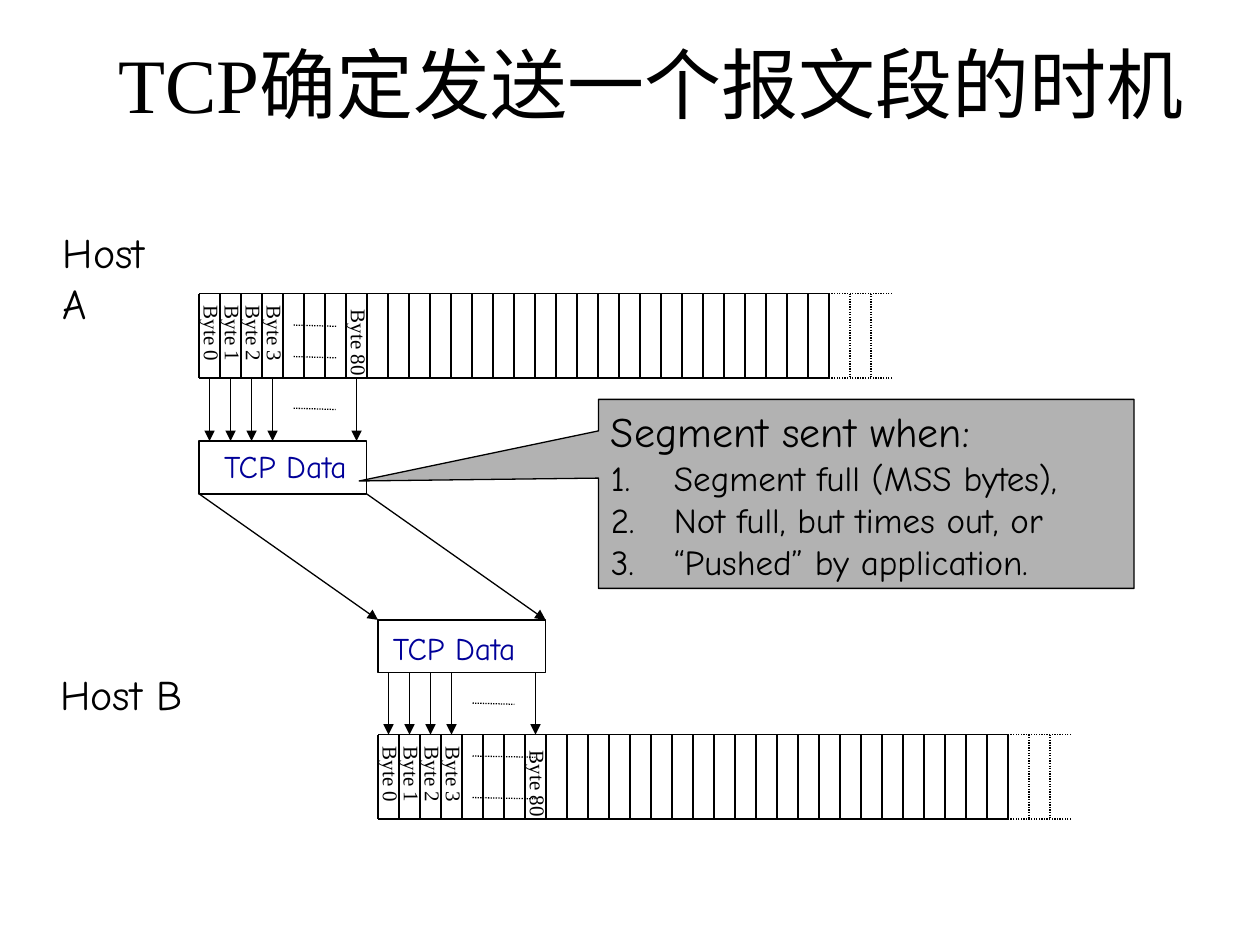
import pptx
import pptx.util
import pptx.dml.color
import pptx.enum.dml
import pptx.enum.shapes
import pptx.enum.text
from lxml import etree
from pptx.util import Inches

BLACK = pptx.dml.color.RGBColor(0, 0, 0)
WHITE = pptx.dml.color.RGBColor(255, 255, 255)
GREY = pptx.dml.color.RGBColor(0xB2, 0xB2, 0xB2)
NAVY = pptx.dml.color.RGBColor(0, 0, 0x99)
SERIF, HAND = "Times New Roman", "Comic Neue"
KIND = pptx.enum.shapes.MSO_SHAPE
FIT = pptx.enum.text.MSO_AUTO_SIZE
ANCHOR = pptx.enum.text.MSO_ANCHOR
ALIGN = pptx.enum.text.PP_ALIGN
DOTS = pptx.enum.dml.MSO_LINE.ROUND_DOT
qn = pptx.oxml.ns.qn

deck = pptx.Presentation()
deck.slide_width, deck.slide_height = Inches(10), Inches(7.5)
slide = deck.slides.add_slide(deck.slide_layouts[5])
shapes = slide.shapes


def line(x1, y1, x2, y2, dash=None, arrow=False):
    rule = shapes.add_connector(
        pptx.enum.shapes.MSO_CONNECTOR.STRAIGHT,
        Inches(x1), Inches(y1), Inches(x2), Inches(y2))
    rule.line.color.rgb = BLACK
    rule.line.width = pptx.util.Pt(0.75)
    if dash:
        rule.line.dash_style = dash
    if arrow:
        etree.SubElement(rule.line._get_or_add_ln(), qn("a:tailEnd"), type="triangle")
    etree.SubElement(rule._element.spPr, qn("a:effectLst"))


def label(text, x, y, w, h, size, face, color=BLACK, turn=0):
    box = shapes.add_textbox(Inches(x), Inches(y), Inches(w), Inches(h))
    box.rotation = turn
    frame = box.text_frame
    frame.word_wrap = False
    frame.auto_size = FIT.SHAPE_TO_FIT_TEXT
    run = frame.paragraphs[0].add_run()
    run.text = text
    run.font.size = pptx.util.Pt(size)
    run.font.name = face
    run.font.color.rgb = color


# Title
title = shapes.title
title.left, title.top = Inches(0.67), Inches(0.03)
title.width, title.height = Inches(9), Inches(1.25)
frame = title.text_frame
frame.auto_size = FIT.NONE
frame.vertical_anchor = ANCHOR.MIDDLE
para = frame.paragraphs[0]
para.alignment = ALIGN.CENTER
run = para.add_run()
run.text = "TCP确定发送一个报文段的时机"
run.font.size = pptx.util.Pt(44)
run.font.name = SERIF
run.font.color.rgb = BLACK

# Byte streams: left, top, start of arrows, ends and heights of the gap marks
STEP, TALL, DROP = 1 / 6, 0.67, 0.5
streams = [
    (1.58, 2.33, 3, 2.67, (2.58, 2.83, 3.24)),
    (3, 5.83, 5.33, 4.25, (6, 6.33, 5.58)),
]
for left, top, start, end, marks in streams:
    edge = left + 30 * STEP
    for y in (top, top + TALL):
        line(left, y, edge, y)
        line(edge + 0.5, y, edge, y, DOTS)
    for i in range(33):
        x = left + i * STEP
        line(x, top, x, top + TALL, DOTS if i > 30 else None)

    # Byte names and arrows
    for i, byte in ((0, 0), (1, 1), (2, 2), (3, 3), (7, 80)):
        x = left + (i + 0.5) * STEP
        wide, mid = (0.72, 0.39) if byte == 80 else (0.64, 0.32)
        label(f"Byte {byte}", x + 0.02 - wide / 2, top + mid - 0.15,
              wide, 0.3, 12, SERIF, turn=89.8)
        line(x, start, x, start + DROP, arrow=True)

    # Marks for the bytes left out
    first = left + 4.5 * STEP
    for y, stop in zip(marks, (end, end, first + 2 * STEP)):
        line(first, y, stop, y + 0.01, DOTS)

# Hosts
label("Host A", 0.4, 1.75, 1.15, 0.5, 24, HAND)
label("Host B", 0.38, 5.26, 1.17, 0.5, 24, HAND)

# Segments
for x, y, tx, ty in ((1.58, 3.5, 1.68, 3.5), (3, 4.92, 3.02, 4.94)):
    rect = shapes.add_shape(KIND.RECTANGLE, Inches(x), Inches(y), Inches(1.33), Inches(0.42))
    rect.shadow.inherit = False
    rect.fill.solid()
    rect.fill.fore_color.rgb = WHITE
    rect.line.color.rgb = BLACK
    rect.line.width = pptx.util.Pt(0.75)
    label("TCP Data", tx, ty, 1.19, 0.4, 18, HAND, NAVY)
for x in (0, 1.33):
    line(1.58 + x, 3.92, 3 + x, 4.92, arrow=True)

# Callout with the sending rules
note = shapes.add_shape(KIND.RECTANGULAR_CALLOUT, Inches(4.75), Inches(3.17),
                        Inches(4.25), Inches(1.5))
note.adjustments[0], note.adjustments[1] = -0.947, -0.068
note.shadow.inherit = False
note.fill.solid()
note.fill.fore_color.rgb = GREY
note.line.color.rgb = BLACK
note.line.width = pptx.util.Pt(0.75)
frame = note.text_frame
frame.word_wrap = True
frame.vertical_anchor = ANCHOR.TOP
rules = ["Segment sent when:", "Segment full (MSS bytes),",
         "Not full, but times out, or", "“Pushed” by application."]
for i, text in enumerate(rules):
    para = frame.add_paragraph() if i else frame.paragraphs[0]
    para.alignment = ALIGN.LEFT
    props = para._p.get_or_add_pPr()
    props.set("marL", str(Inches(0.5)))
    props.set("indent", str(-Inches(0.5)))
    if i:
        etree.SubElement(props, qn("a:buFont"), typeface=HAND)
        etree.SubElement(props, qn("a:buAutoNum"), type="arabicPeriod")
    run = para.add_run()
    run.text = text
    run.font.size = pptx.util.Pt(20 if i else 24)
    run.font.name = HAND
    run.font.color.rgb = BLACK

deck.save("out.pptx")
